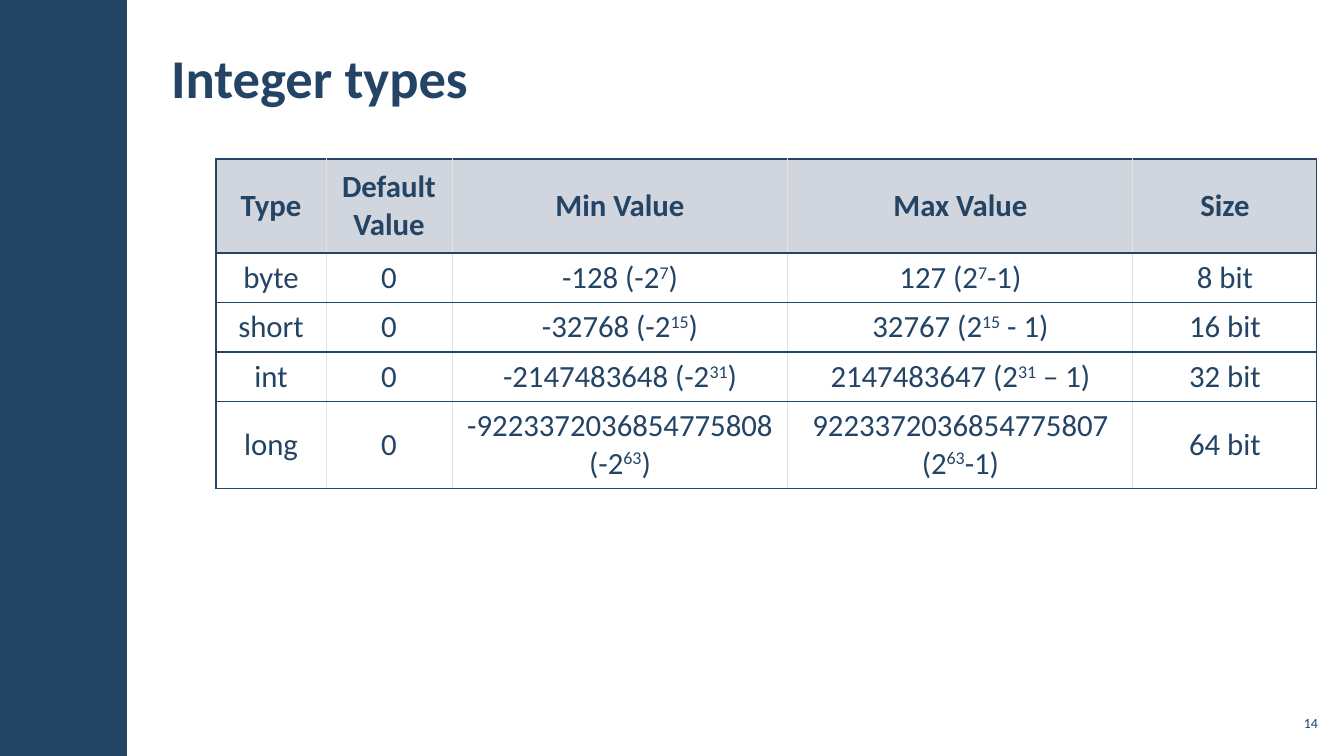
from dataclasses import dataclass

from lxml.etree import SubElement as Sub
from pptx import Presentation
from pptx.dml.color import RGBColor as Rgb
from pptx.enum.shapes import MSO_SHAPE as Shape
from pptx.enum.text import MSO_ANCHOR as Anchor, MSO_AUTO_SIZE as Fit, PP_ALIGN as Align
from pptx.oxml.ns import qn
from pptx.util import Pt


@dataclass(frozen=True)
class Theme:
    font: str = "Calibri"
    navy: str = "234465"
    head: str = "D1D5DD"
    rule: str = "DFE2E5"
    white: str = "FFFFFF"
    title: int = 39
    body: int = 22
    small: int = 10


THEME = Theme()
SCALE = 914400 / 100.8


def px(n):
    return round(n * SCALE)


def write(frame, text, size=THEME.body, bold=False, align=Align.CENTER, pad=(12, 6)):
    """Newlines part paragraphs, \\v breaks a line, carets enclose superscripts."""
    frame.word_wrap = True
    frame.auto_size = Fit.NONE
    frame.vertical_anchor = Anchor.MIDDLE
    frame.margin_left = frame.margin_right = px(pad[0])
    frame.margin_top = frame.margin_bottom = px(pad[1])
    for i, line in enumerate(text.split("\n")):
        para = frame.add_paragraph() if i else frame.paragraphs[0]
        para.alignment = align
        for j, part in enumerate(line.split("^")):
            for k, piece in enumerate(part.split("\v")):
                if k:
                    para.add_line_break()
                run = para.add_run()
                run.text = piece
                font = run.font
                font.name, font.size, font.bold = THEME.font, Pt(size), bold
                font.color.rgb = Rgb.from_string(THEME.navy)
                if j % 2:
                    run._r.get_or_add_rPr().set("baseline", "30000")


class Page:
    def __init__(self, deck, theme):
        self.theme = theme
        self.slide = deck.slides.add_slide(deck.slide_layouts[5])
        self.shapes = self.slide.shapes

    def title(self, text, x, y, w, h):
        box = self.shapes.title
        box.left, box.top, box.width, box.height = map(px, (x, y, w, h))
        write(box.text_frame, text, size=self.theme.title, bold=True,
              align=Align.LEFT, pad=(12, 4))

    def bar(self, x, y, w, h):
        box = self.shapes.add_shape(Shape.RECTANGLE, *map(px, (x, y, w, h)))
        box.shadow.inherit = False
        box.fill.solid()
        box.fill.fore_color.rgb = Rgb.from_string(self.theme.navy)
        box.line.fill.background()

    def label(self, text, x, y, w, h):
        box = self.shapes.add_textbox(*map(px, (x, y, w, h)))
        write(box.text_frame, text, size=self.theme.small,
              align=Align.RIGHT, pad=(4, 4))

    def edge(self, cell, side, color, width):
        line = Sub(cell._tc.get_or_add_tcPr(), qn("a:ln" + side), w=str(Pt(width)))
        Sub(Sub(line, qn("a:solidFill")), qn("a:srgbClr"), val=color)

    def table(self, data, x, y, cols, rows):
        grid = self.shapes.add_table(len(rows), len(cols), px(x), px(y),
                                     px(sum(cols)), px(sum(rows))).table
        grid.first_row = grid.horz_banding = False
        for col, wide in zip(grid.columns, cols):
            col.width = px(wide)
        outer, inner = (self.theme.navy, 1), (self.theme.rule, 0.75)
        last = len(cols) - 1
        for r, (high, line) in enumerate(zip(rows, data)):
            grid.rows[r].height = px(high)
            for c, text in enumerate(line):
                cell = grid.cell(r, c)
                write(cell.text_frame, text, bold=r == 0)
                cell.vertical_anchor = Anchor.MIDDLE
                cell.margin_left = cell.margin_right = px(12)
                cell.margin_top = cell.margin_bottom = px(6)
                # Borders come before the fill in the cell's XML
                self.edge(cell, "L", *(inner if c else outer))
                self.edge(cell, "R", *(inner if c < last else outer))
                self.edge(cell, "T", *outer)
                self.edge(cell, "B", *outer)
                cell.fill.solid()
                tint = self.theme.white if r else self.theme.head
                cell.fill.fore_color.rgb = Rgb.from_string(tint)


TYPES = [
    ("Type", "Default\vValue", "Min Value", "Max Value", "Size"),
    ("byte", "0", "-128 (-2^7^)", "127 (2^7^-1)", "8 bit"),
    ("short", "0", "-32768 (-2^15^)", "32767 (2^15^ - 1)", "16 bit"),
    ("int", "0", "-2147483648 (-2^31^)", "2147483647 (2^31^ – 1)", "32 bit"),
    ("long", "0", "-9223372036854775808\n(-2^63^)",
     "9223372036854775807\n(2^63^-1)", "64 bit"),
]


def main():
    deck = Presentation()
    deck.slide_width, deck.slide_height = px(1344), px(756)
    page = Page(deck, THEME)
    # Side band and page number
    page.bar(0, 0, 127, 756)
    page.label("14", 1275, 706, 47, 34)
    # Heading and table of types
    page.title("Integer types", 159, 28, 925, 98)
    page.table(TYPES, 216, 159, cols=(110, 126, 336, 345, 184),
               rows=(94, 46, 46, 46, 80))
    deck.save("out.pptx")


if __name__ == "__main__":
    main()
